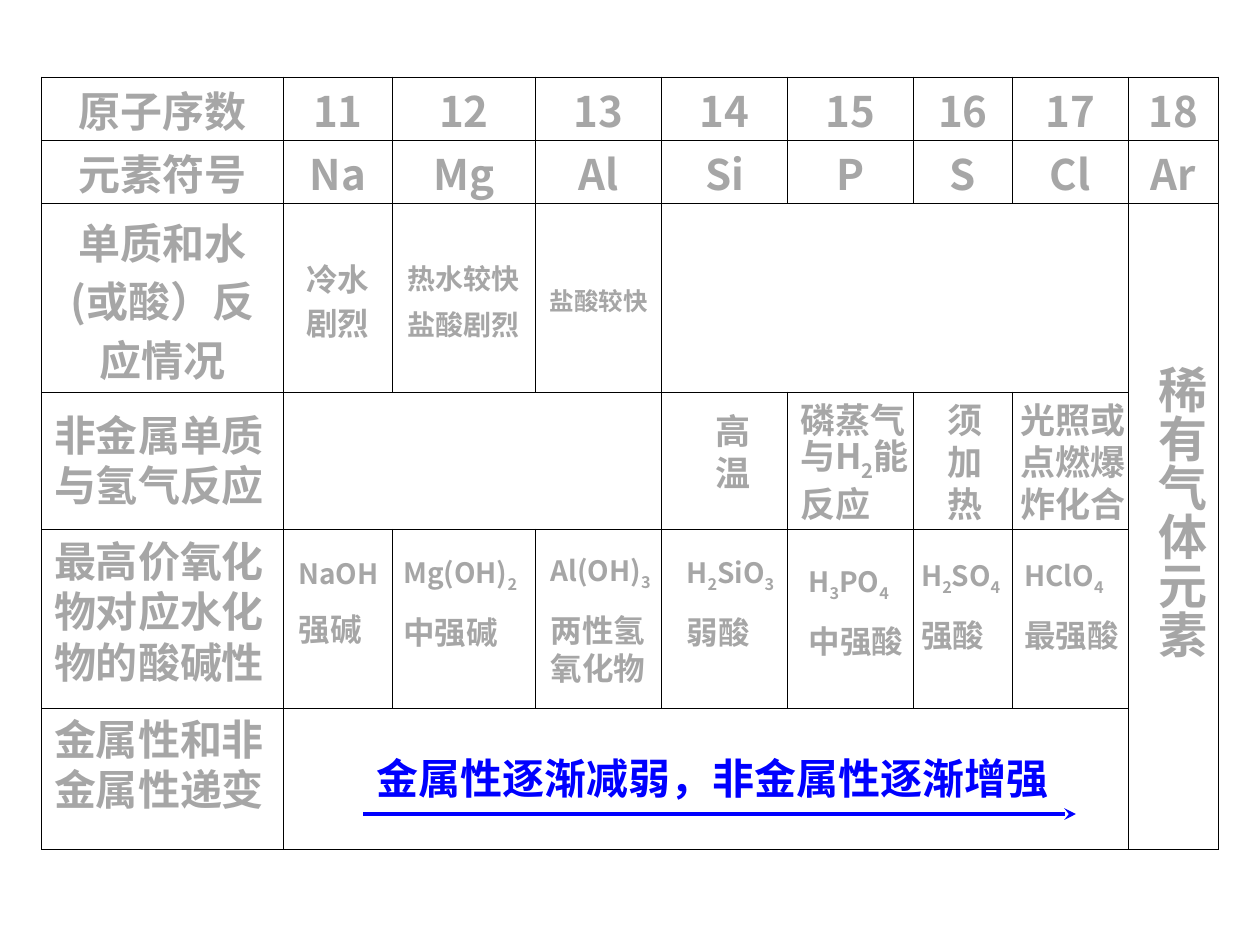
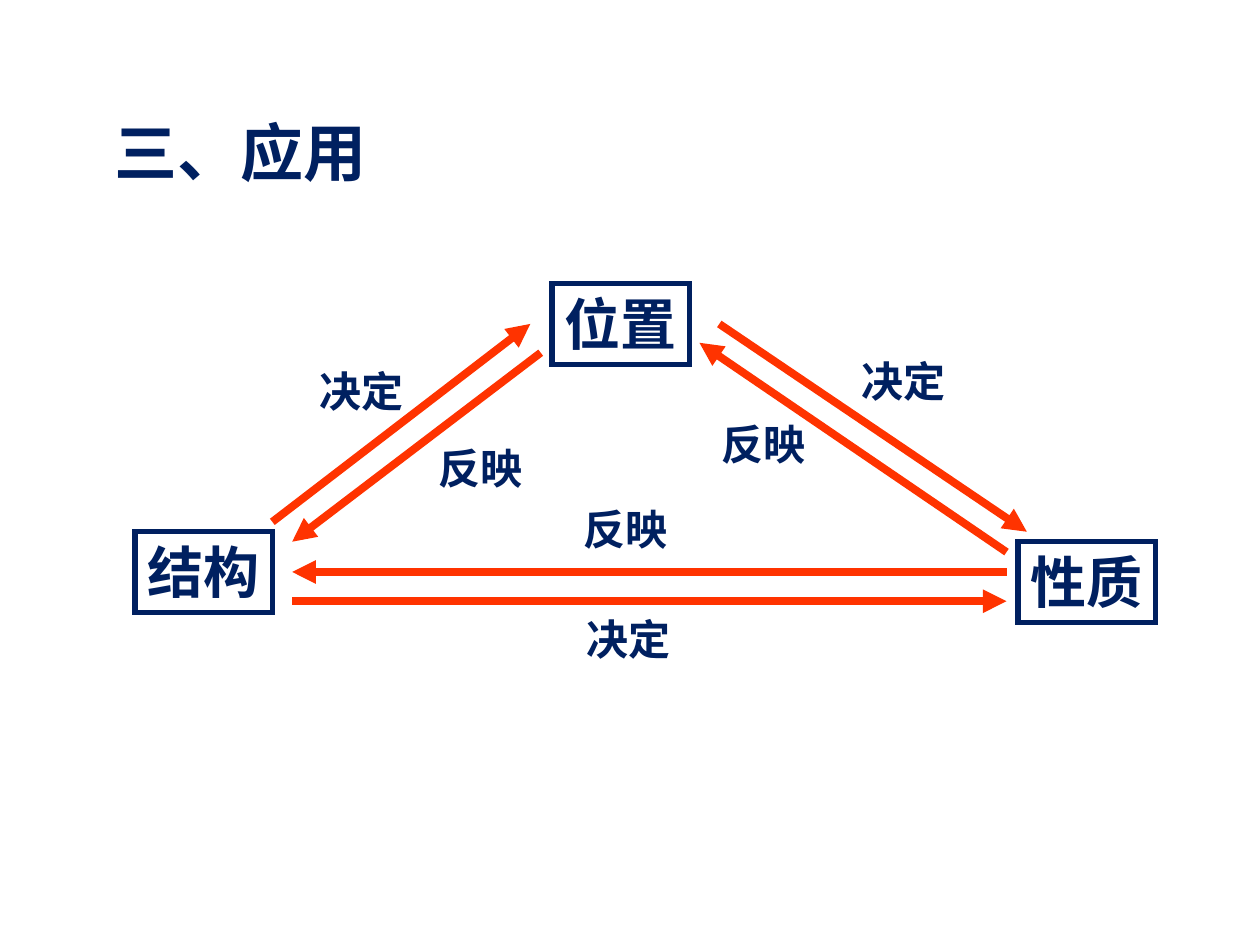
from itertools import groupby

from lxml import etree
from pptx import Presentation
from pptx.dml.color import RGBColor
from pptx.enum.shapes import MSO_CONNECTOR, MSO_SHAPE
from pptx.enum.text import MSO_ANCHOR, MSO_AUTO_SIZE, PP_ALIGN
from pptx.oxml.ns import qn
from pptx.util import Cm, Pt

STRAIGHT = MSO_CONNECTOR.STRAIGHT
RECTANGLE = MSO_SHAPE.RECTANGLE
TOP, MIDDLE, BOTTOM = MSO_ANCHOR.TOP, MSO_ANCHOR.MIDDLE, MSO_ANCHOR.BOTTOM
LEFT, CENTER = PP_ALIGN.LEFT, PP_ALIGN.CENTER
NO_AUTOFIT = MSO_AUTO_SIZE.NONE

GRAY, BLUE, NAVY, ORANGE, BLACK = "A6A6A6", "0000FF", "002060", "FF3300", "000000"
SANS, SERIF = "Noto Sans CJK SC", "Times New Roman"
LINE_FACTOR = 1.2

# Table of the third period, sizes in cm
COLUMNS = [4.88, 2.18, 2.9, 2.54, 2.54, 2.54, 1.98, 2.34, 1.83]
ROWS = [1.27, 1.27, 3.81, 2.77, 3.61, 2.84]
HEADER_ROWS = [
    ["原子序数"] + [str(number) for number in range(11, 19)],
    ["元素符号", "Na", "Mg", "Al", "Si", "P", "S", "Cl", "Ar"],
]
# Text, size, space before
WATER_REACTIONS = [
    ("单质和水(或酸）反应情况", 24, 6),
    ("冷水剧烈", 18, 4.5),
    ("热水较快\n盐酸剧烈", 16, 4),
    ("盐酸较快", 14, 3.5),
]
# First row, first column, last row, last column
MERGES = [(2, 4, 2, 7), (2, 8, 5, 8), (3, 1, 3, 3), (5, 1, 5, 7)]
# Text, left, top, width
ROW_LABELS = [
    ("非金属单质与氢气反应", 0, 6.58, 4.88),
    ("最高价氧化物对应水化物的酸碱性", 0, 9.12, 5.08),
    ("金属性和非金属性递变", 0, 12.7, 5.08),
]
HYDROGEN_REACTIONS = [
    ("高温", 13.34, 6.58, 1.9),
    ("磷蒸气与H2能反应", 15.04, 6.35, 2.74),
    ("须加热", 18.01, 6.35, 1.7),
    ("光照或点燃爆炸化合", 19.48, 6.35, 2.74),
]
# Formula, description, left, top
HYDROXIDES = [
    ("NaOH", "强碱", 4.93, 9.55),
    ("Mg(OH)2", "中强碱", 7.04, 9.62),
    ("Al(OH)3", "两性氢\n氧化物", 10.01, 9.58),
    ("H2SiO3", "弱酸", 12.75, 9.62),
    ("H3PO4", "中强酸", 15.21, 9.8),
    ("H2SO4", "强酸", 17.48, 9.68),
    ("HClO4", "最强酸", 19.56, 9.68),
]

# Diagram of the application slide
NODES = [("结构", 0, 5), ("位置", 8.41, 0), ("性质", 17.8, 5.2)]
# Text, its place, arrow start, arrow end
RELATIONS = [
    ("决定", (3.48, 1.52), (2.77, 4.8), (7.97, 0.81)),
    ("反映", (5.87, 3.07), (8.18, 1.39), (3.17, 5.2)),
    ("决定", (8.86, 6.52), (3.17, 6.4), (17.57, 6.4)),
    ("反映", (8.79, 4.31), (17.57, 5.81), (3.17, 5.81)),
    ("决定", (14.4, 1.32), (11.78, 0.81), (17.98, 5)),
    ("反映", (11.58, 2.59), (17.57, 5.41), (11.38, 1.19)),
]


def color(code):
    return RGBColor.from_string(code)


def write_text(frame, text, size=24, code=GRAY, font=SANS, align=LEFT, before=0,
               factor=LINE_FACTOR, subscripts=False, append=False):
    """Write one paragraph per line; digits may become subscripts."""
    for index, line in enumerate(text.split("\n")):
        new = append or index > 0
        paragraph = frame.add_paragraph() if new else frame.paragraphs[0]
        paragraph.alignment = align
        paragraph.line_spacing = Pt(round(size * factor, 1))
        paragraph.space_before = Pt(before)
        pieces = groupby(line, str.isdigit) if subscripts else [(False, line)]
        for lowered, letters in pieces:
            run = paragraph.add_run()
            run.text = "".join(letters)
            run.font.size, run.font.bold, run.font.name = Pt(size), True, font
            run.font.color.rgb = color(code)
            properties = run._r.get_or_add_rPr()
            etree.SubElement(properties, qn("a:ea")).set("typeface", SANS)
            if lowered:
                properties.set("baseline", "-25000")


def add_text(slide, text, left, top, width, height, **style):
    box = slide.shapes.add_textbox(Cm(left), Cm(top), Cm(width), Cm(height))
    box.text_frame.word_wrap = True
    write_text(box.text_frame, text, **style)
    return box


def add_arrow(slide, start, end, code, width, head):
    points = [Cm(value) for value in (*start, *end)]
    arrow = slide.shapes.add_connector(STRAIGHT, *points)
    arrow.line.color.rgb = color(code)
    arrow.line.width = Pt(width)
    etree.SubElement(arrow.line._get_or_add_ln(), qn("a:tailEnd")).set("type", head)
    etree.SubElement(arrow._element.spPr, qn("a:effectLst"))


def format_cell(cell):
    """Thin black borders, no fill."""
    properties = cell._tc.get_or_add_tcPr()
    for side in ("lnL", "lnR", "lnT", "lnB"):
        border = etree.SubElement(properties, qn(f"a:{side}"))
        border.set("w", str(Pt(0.45)))
        fill = etree.SubElement(border, qn("a:solidFill"))
        etree.SubElement(fill, qn("a:srgbClr")).set("val", BLACK)
    cell.fill.background()
    cell.margin_top, cell.margin_bottom = Cm(0.13), 0


def period_grid(slide, left, top):
    """Ruled table with the header rows and the reactions with water."""
    table = slide.shapes.add_table(
        len(ROWS), len(COLUMNS), Cm(left), Cm(top), Cm(sum(COLUMNS)), Cm(sum(ROWS))
    ).table
    table.first_row = table.horz_banding = False
    for column, width in zip(table.columns, COLUMNS):
        column.width = Cm(width)
    for row, height in zip(table.rows, ROWS):
        row.height = Cm(height)
    for cell in table.iter_cells():
        format_cell(cell)
    for first_row, first_column, last_row, last_column in MERGES:
        table.cell(first_row, first_column).merge(table.cell(last_row, last_column))

    for row, texts in enumerate(HEADER_ROWS):
        for column, text in enumerate(texts):
            cell = table.cell(row, column)
            cell.vertical_anchor = BOTTOM
            write_text(cell.text_frame, text, align=CENTER)
    for column, (text, size, before) in enumerate(WATER_REACTIONS):
        cell = table.cell(2, column)
        cell.vertical_anchor = MIDDLE
        write_text(cell.text_frame, text, size=size, before=before,
                   align=CENTER, factor=1.4)


def period_labels(slide, left, top):
    """Texts that lie over the lower rows of the grid."""
    for text, x, y, width in HYDROGEN_REACTIONS:
        add_text(slide, text, left + x, top + y, width, 2.8, size=20, subscripts=True)

    for formula, description, x, y in HYDROXIDES:
        box = add_text(slide, formula, left + x, top + y, 3.2, 2.2,
                       size=16, subscripts=True)
        for index, line in enumerate(description.split("\n")):
            write_text(box.text_frame, line, size=18, append=True,
                       before=0 if index else 11.2)

    noble = add_text(slide, "稀有气体元素", left + 22.02, top + 5.57, 1.68, 7.42, size=28)
    frame = noble.text_frame
    frame.margin_left = frame.margin_right = Cm(0.13)
    frame.margin_top = frame.margin_bottom = Cm(0.25)
    frame._txBody.bodyPr.set("vert", "eaVert")

    for text, x, y, width in ROW_LABELS:
        add_text(slide, text, left + x, top + y, width, 2.3, font=SERIF)


def period_trend(slide, left, top):
    """Arrow and sentence in the last row."""
    add_arrow(slide, (left, top + 1.37), (left + 14.37, top + 1.37), BLUE, 2.25, "stealth")
    add_text(slide, "金属性逐渐减弱，非金属性逐渐增强", left + 0.02, top, 16.31, 1.27, code=BLUE)


def period_slide(presentation):
    slide = presentation.slides.add_slide(presentation.slide_layouts[6])
    left, top = 0.84, 1.55
    period_grid(slide, left, top)
    period_labels(slide, left, top)
    period_trend(slide, left + 6.48, top + 13.49)


def place_title(slide, text, left, top, width, height):
    title = slide.shapes.title
    title.left, title.top = Cm(left), Cm(top)
    title.width, title.height = Cm(width), Cm(height)
    title.text_frame.vertical_anchor = TOP
    title.text_frame.auto_size = NO_AUTOFIT
    write_text(title.text_frame, text, size=36, code=NAVY)


def relation_diagram(slide, left, top):
    """Three framed terms and the arrows between them."""
    for text, x, y in NODES:
        node = slide.shapes.add_shape(
            RECTANGLE, Cm(left + x), Cm(top + y), Cm(2.77), Cm(1.63))
        node.shadow.inherit = False
        node.fill.background()
        node.line.color.rgb = color(NAVY)
        node.line.width = Pt(3)
        # Square corners
        join = etree.SubElement(node.line._get_or_add_ln(), qn("a:miter"))
        join.set("lim", "800000")
        node.text_frame.word_wrap = False
        node.text_frame.vertical_anchor = TOP
        write_text(node.text_frame, text, size=32, code=NAVY)

    for text, place, *ends in RELATIONS:
        start, end = [(left + x, top + y) for x, y in ends]
        add_arrow(slide, start, end, ORANGE, 4.5, "triangle")
        add_text(slide, text, left + place[0], top + place[1], 2.5, 1.27, code=NAVY)


def application_slide(presentation):
    slide = presentation.slides.add_slide(presentation.slide_layouts[5])
    place_title(slide, "三、应用", 2.06, 2.16, 16.64, 1.78)
    relation_diagram(slide, 2.72, 5.72)


def main():
    presentation = Presentation()
    presentation.slide_width, presentation.slide_height = Cm(25.4), Cm(19.05)
    period_slide(presentation)
    application_slide(presentation)
    presentation.save("out.pptx")


if __name__ == "__main__":
    main()
